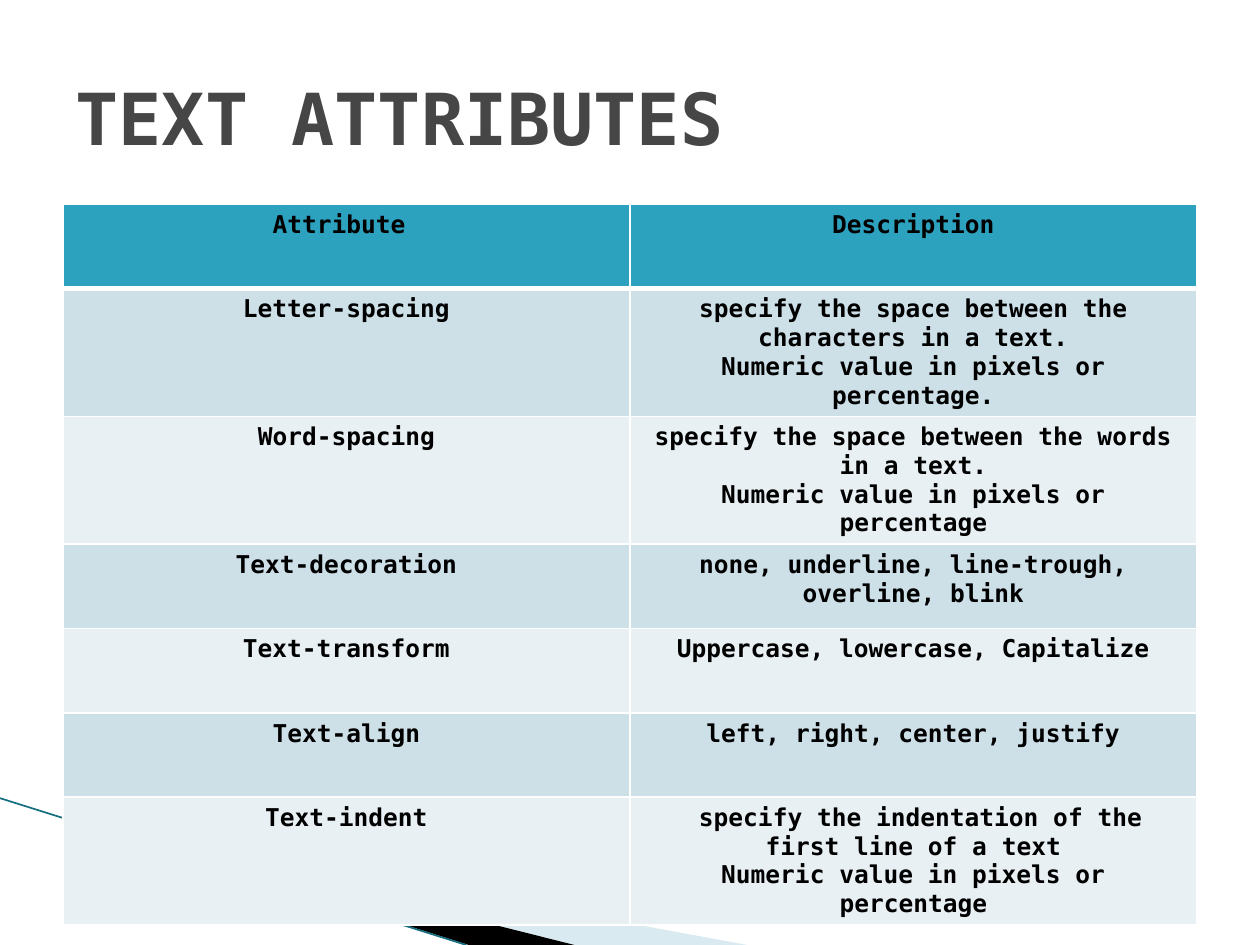
"""Build the slide on text attributes."""
import dataclasses

import lxml.etree
import pptx
import pptx.dml.color
import pptx.enum.shapes
import pptx.enum.text
import pptx.oxml.ns
import pptx.util

Cm = pptx.util.Cm
Pt = pptx.util.Pt
Color = pptx.dml.color.RGBColor
qn = pptx.oxml.ns.qn

FONT = "DejaVu Sans Mono"
WHITE = Color(0xFF, 0xFF, 0xFF)
BLACK = Color(0x00, 0x00, 0x00)
GREY = Color(0x46, 0x46, 0x46)
HEAD = Color(0x2D, 0xA2, 0xBF)
BANDS = (Color(0xCD, 0xE0, 0xE8), Color(0xE8, 0xF0, 0xF4))
PALE = Color(0xA0, 0xCB, 0xDC)
TEAL = Color(0x16, 0x6E, 0x80)


@dataclasses.dataclass
class Wedge:
    """A filled outline, with its points in centimetres."""
    points: list[tuple[float, float]]
    color: Color
    alpha: int = 100


@dataclasses.dataclass
class Entry:
    """A table row: a name and the lines that describe it."""
    name: str
    lines: list[str]


WEDGES = [
    Wedge([(1.4, 16.53), (15.06, 19.05), (11.58, 19.05), (1.4, 16.51)], PALE, 40),
    Wedge([(1.35, 16.48), (11.58, 19.05), (9.45, 19.05), (1.37, 16.51)], BLACK),
]
ENTRIES = [
    Entry("Attribute ", ["Description"]),
    Entry("Letter-spacing", ["specify the space between the characters in a text.",
                             "Numeric value in pixels or percentage."]),
    Entry("Word-spacing", ["specify the space between the words in a text.",
                           "Numeric value in pixels or percentage"]),
    Entry("Text-decoration", ["none, underline, line-trough, overline, blink"]),
    Entry("Text-transform", ["Uppercase, lowercase, Capitalize"]),
    Entry("Text-align", ["left, right, center, justify"]),
    Entry("Text-indent", ["\u00a0specify the indentation of the first line of a text",
                          "Numeric value in pixels or percentage"]),
]


def add_run(para, text: str, size: float, color: Color) -> None:
    """Add one bold run."""
    run = para.add_run()
    run.text = text
    run.font.name = FONT
    run.font.size = Pt(size)
    run.font.bold = True
    run.font.color.rgb = color


def add_wedge(slide, wedge: Wedge) -> None:
    """Draw one filled outline."""
    spots = [(Cm(x), Cm(y)) for x, y in wedge.points]
    pen = slide.shapes.build_freeform(*spots[0])
    pen.add_line_segments(spots[1:], close=True)
    shape = pen.convert_to_shape()
    shape.shadow.inherit = False
    shape.line.fill.background()
    shape.fill.solid()
    shape.fill.fore_color.rgb = wedge.color
    if wedge.alpha < 100:
        tint = shape.fill._xPr.find(f".//{qn('a:srgbClr')}")
        lxml.etree.SubElement(tint, qn("a:alpha"), val=str(wedge.alpha * 1000))


def add_edge(slide) -> None:
    """Draw the thin slanted line."""
    edge = slide.shapes.add_connector(
        pptx.enum.shapes.MSO_CONNECTOR.STRAIGHT, Cm(0), Cm(16.09), Cm(9.4), Cm(19.05))
    edge.line.color.rgb = TEAL
    edge.line.width = Pt(0.95)
    lxml.etree.SubElement(edge._element.spPr, qn("a:effectLst"))


def add_rule(cell, side: str, width: float) -> None:
    """Give one side of a cell a white border."""
    rule = lxml.etree.SubElement(
        cell._tc.get_or_add_tcPr(), qn(f"a:ln{side}"), w=str(Pt(width)))
    fill = lxml.etree.SubElement(rule, qn("a:solidFill"))
    lxml.etree.SubElement(fill, qn("a:srgbClr"), val=str(WHITE))


def fill_cell(cell, lines: list[str], row: int) -> None:
    """Write and format one cell."""
    for side in "LRTB":
        thick = (row, side) in ((0, "B"), (1, "T"))
        add_rule(cell, side, 3 if thick else 1)
    cell.fill.solid()
    cell.fill.fore_color.rgb = BANDS[(row - 1) % 2] if row else HEAD
    frame = cell.text_frame
    for num, line in enumerate(lines):
        para = frame.add_paragraph() if num else frame.paragraphs[0]
        para.alignment = pptx.enum.text.PP_ALIGN.CENTER
        add_run(para, line, 14, BLACK)


def add_grid(slide) -> None:
    """Add the table of attributes."""
    high = Cm(1.7)
    grid = slide.shapes.add_table(
        len(ENTRIES), 2, Cm(1.27), Cm(4.12), Cm(22.86), high * len(ENTRIES)).table
    for row, entry in enumerate(ENTRIES):
        grid.rows[row].height = high
        fill_cell(grid.cell(row, 0), [entry.name], row)
        fill_cell(grid.cell(row, 1), entry.lines, row)


def set_title(slide) -> None:
    """Place and write the title."""
    title = slide.shapes.title
    title.left, title.top = Cm(1.27), Cm(0.76)
    title.width, title.height = Cm(22.86), Cm(3.18)
    frame = title.text_frame
    frame.word_wrap = True
    frame.auto_size = pptx.enum.text.MSO_AUTO_SIZE.NONE
    frame.vertical_anchor = pptx.enum.text.MSO_ANCHOR.MIDDLE
    para = frame.paragraphs[0]
    para.alignment = pptx.enum.text.PP_ALIGN.LEFT
    add_run(para, "TEXT ATTRIBUTES", 41, GREY)


def main() -> None:
    """Build and save the deck."""
    deck = pptx.Presentation()
    deck.slide_width, deck.slide_height = Cm(25.4), Cm(19.05)
    slide = deck.slides.add_slide(deck.slide_layouts[5])
    for wedge in WEDGES:
        add_wedge(slide, wedge)
    add_edge(slide)
    add_grid(slide)
    set_title(slide)
    deck.save("out.pptx")


main()
